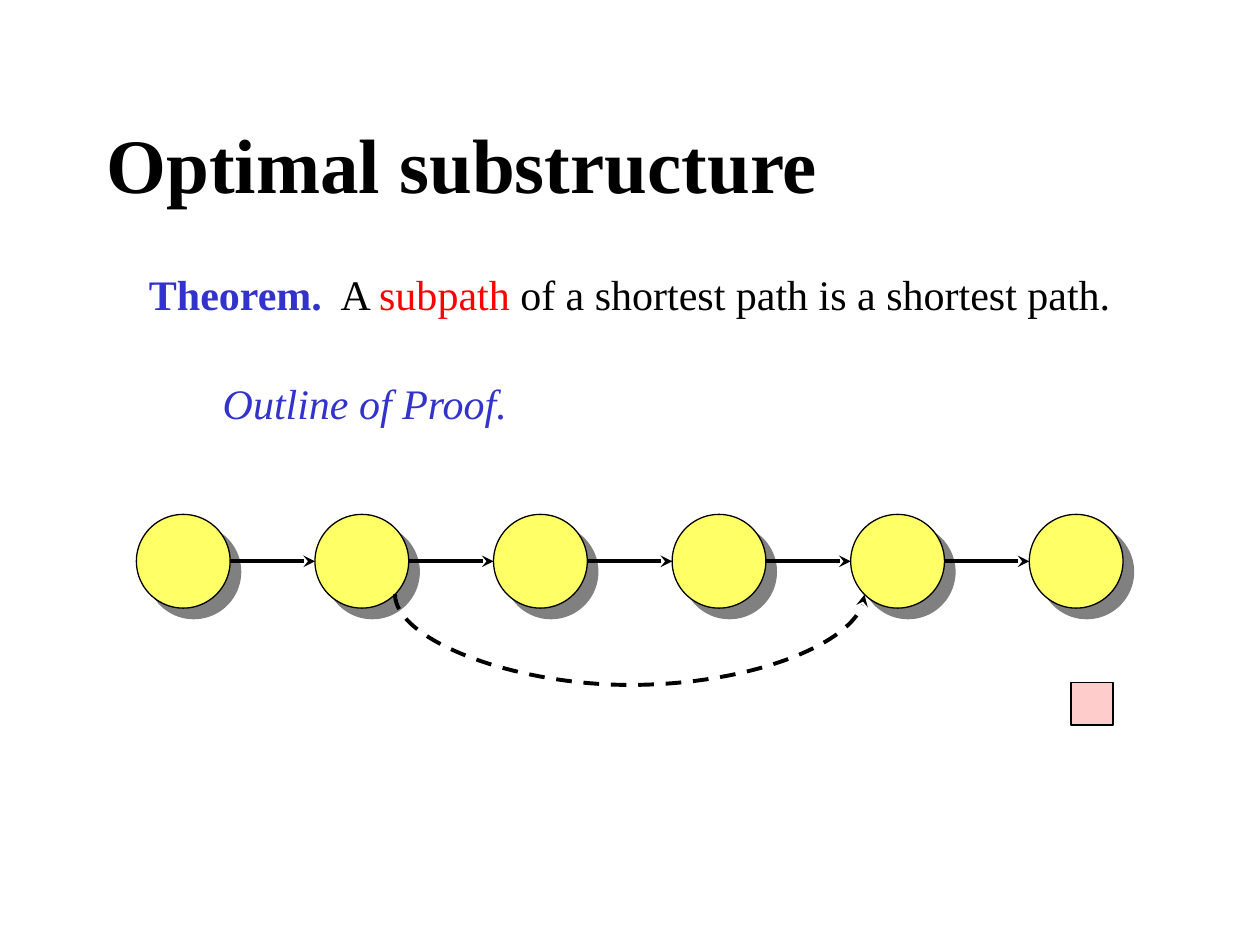
from lxml.etree import SubElement
from pptx import Presentation
from pptx.dml.color import RGBColor
from pptx.enum.dml import MSO_LINE
from pptx.enum.shapes import MSO_CONNECTOR as CONN, MSO_SHAPE as SHAPE
from pptx.enum.text import MSO_ANCHOR as ANCHOR, PP_ALIGN as ALIGN
from pptx.oxml.ns import qn
from pptx.util import Cm, Pt

BLACK = RGBColor(0x00, 0x00, 0x00)
BLUE = RGBColor(0x33, 0x33, 0xCC)
RED = RGBColor(0xFF, 0x00, 0x00)
YELLOW = RGBColor(0xFF, 0xFF, 0x66)
PINK = RGBColor(0xFF, 0xCC, 0xCC)
GREY = RGBColor(0x80, 0x80, 0x80)

FONT = "Times New Roman"
NODE_COUNT = 6


def add_text(s, box, runs, size=24, align=ALIGN.LEFT, anchor=ANCHOR.TOP, wrap=True):
    """Add a one-paragraph text box; runs are (text, colour, bold, italic)."""
    tf = s.shapes.add_textbox(*map(Cm, box)).text_frame
    tf.word_wrap = wrap
    tf.vertical_anchor = anchor
    p = tf.paragraphs[0]
    p.alignment = align
    for text, color, bold, italic in runs:
        r = p.add_run()
        r.text = text
        f = r.font
        f.name, f.size, f.bold, f.italic = FONT, Pt(size), bold, italic
        f.color.rgb = color


def add_outlined(s, kind, box, fill, weight):
    sp = s.shapes.add_shape(kind, *map(Cm, box))
    sp.shadow.inherit = False
    sp.fill.solid()
    sp.fill.fore_color.rgb = fill
    sp.line.color.rgb = BLACK
    sp.line.width = Pt(weight)
    return sp


def add_drop_shadow(sp):
    effects = sp._element.spPr.find(qn("a:effectLst"))
    shadow = SubElement(effects, qn("a:outerShdw"), dist=str(Pt(8.5)),
                        dir="2700000", algn="ctr", rotWithShape="0")
    SubElement(shadow, qn("a:srgbClr"), val=str(GREY))


def add_arrow(s, kind, x1, y1, x2, y2):
    c = s.shapes.add_connector(kind, *map(Cm, (x1, y1, x2, y2)))
    c.line.color.rgb = BLACK
    c.line.width = Pt(2.25)
    SubElement(c.line._get_or_add_ln(), qn("a:tailEnd"), type="stealth")
    SubElement(c._element.spPr, qn("a:effectLst"))
    return c


def add_detour(s, x1, x2, y, depth):
    """Add a dashed arc that hangs from (x1, y) to (x2, y)."""
    # A thin connector turned by 270 degrees, whose bend lies far outside it.
    thin, middle, half = 0.01, (x1 + x2) / 2, (x2 - x1) / 2
    c = add_arrow(s, CONN.CURVE, middle - thin / 2, y - half, middle + thin / 2, y + half)
    c.line.dash_style = MSO_LINE.DASH
    xfrm = c._element.spPr.find(qn("a:xfrm"))
    xfrm.set("rot", "16200000")
    xfrm.set("flipH", "1")
    guides = c._element.spPr.find(qn("a:prstGeom")).get_or_add_avLst()
    bend = round(depth / thin * 100000)
    SubElement(guides, qn("a:gd"), name="adj1", fmla=f"val {bend}")


def add_path(s, x, y, width, size):
    pitch = (width - size) / (NODE_COUNT - 1)
    lefts = [x + i * pitch for i in range(NODE_COUNT)]
    for left in lefts:
        node = add_outlined(s, SHAPE.OVAL, (left, y, size, size), YELLOW, 0.75)
        add_drop_shadow(node)
    for start, end in zip(lefts, lefts[1:]):
        add_arrow(s, CONN.STRAIGHT, start + size, y + size / 2, end, y + size / 2)
    corner = size * (0.5 + 0.5 ** 1.5)  # where the circle meets its diagonal
    add_detour(s, lefts[1] + corner, lefts[4] + size - corner, y + corner, depth=1.83)


def add_statement(s, x, y):
    add_text(s, (x, y, 20.57, 1.27), [
        ("Theorem.", BLUE, True, False),
        ("  A ", BLACK, False, False),
        ("subpath", RED, False, False),
        (" of a shortest path is a shortest path.", BLACK, False, False),
    ], align=ALIGN.CENTER)
    add_text(s, (x + 1.83, y + 2.21, 6.73, 1.3),
             [("Outline of Proof.", BLUE, False, True)], wrap=False)


def main():
    prs = Presentation()
    prs.slide_width, prs.slide_height = Cm(25.4), Cm(19.05)
    s = prs.slides.add_slide(prs.slide_layouts[6])
    add_text(s, (1.9, 1.7, 21.6, 3.18), [("Optimal substructure", BLACK, True, False)],
             size=44, anchor=ANCHOR.MIDDLE)
    add_statement(s, 2.41, 5.28)
    add_path(s, 2.75, 10.37, 19.89, 1.89)
    add_outlined(s, SHAPE.RECTANGLE, (21.59, 13.76, 0.85, 0.85), PINK, 1)
    prs.save("out.pptx")


if __name__ == "__main__":
    main()
